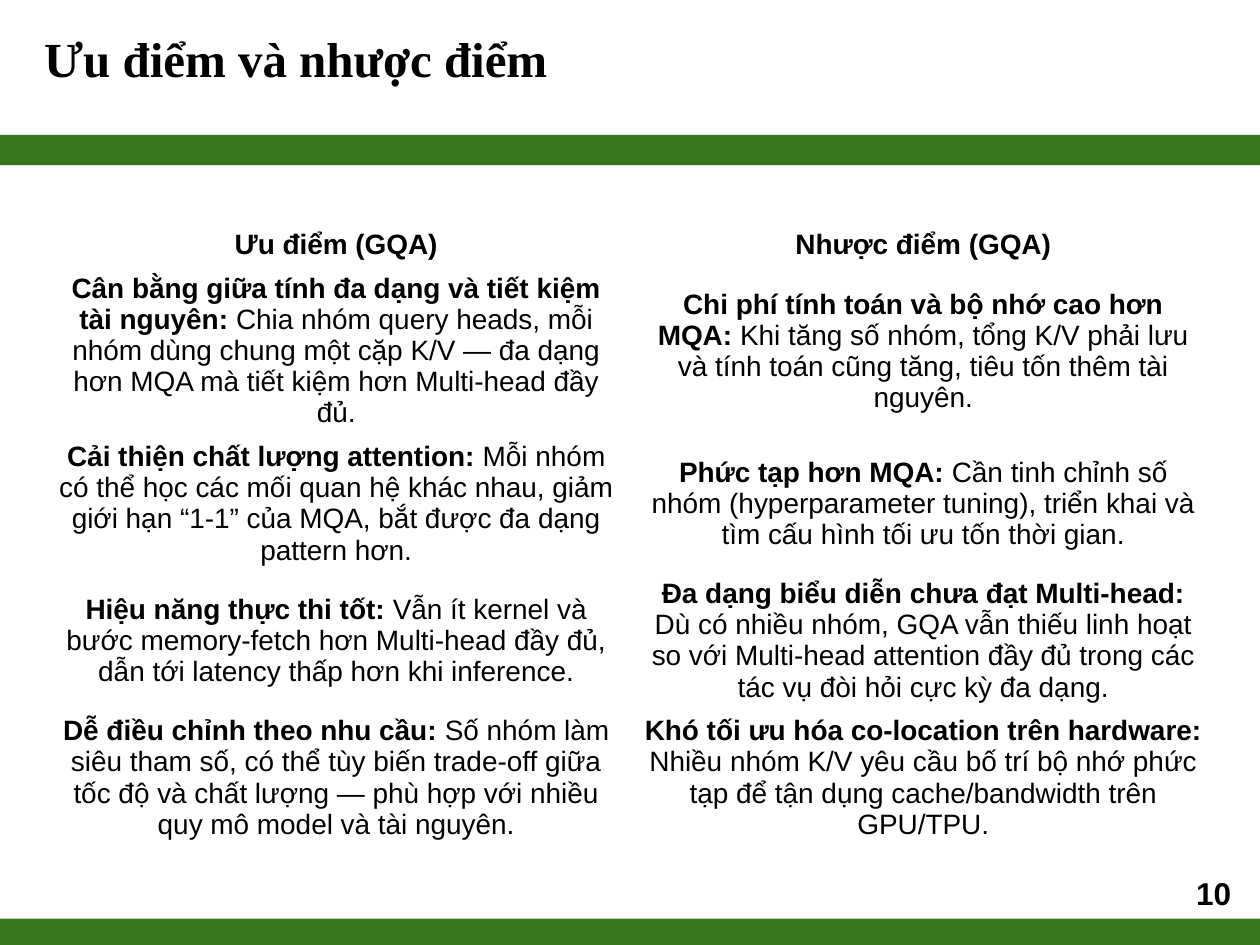
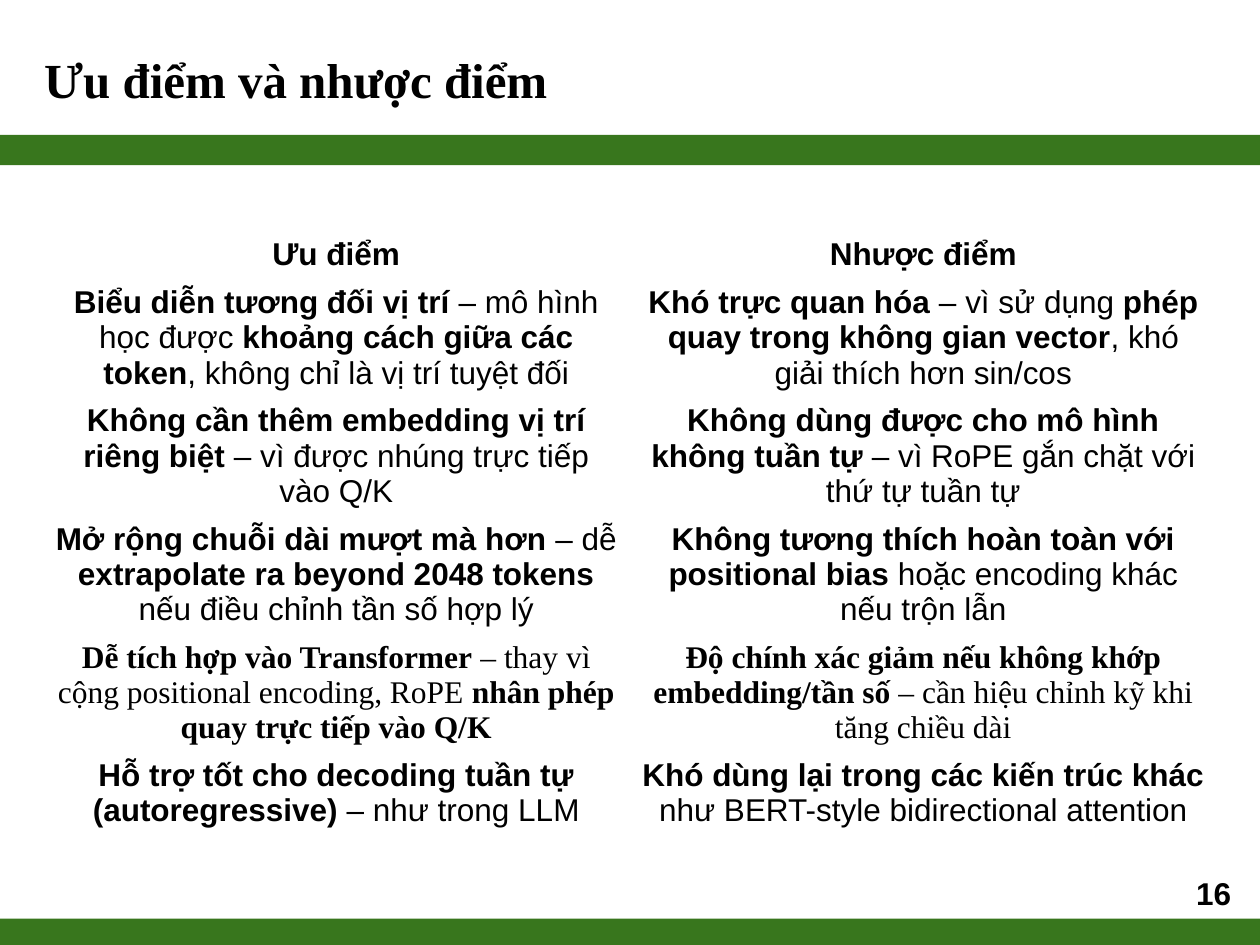
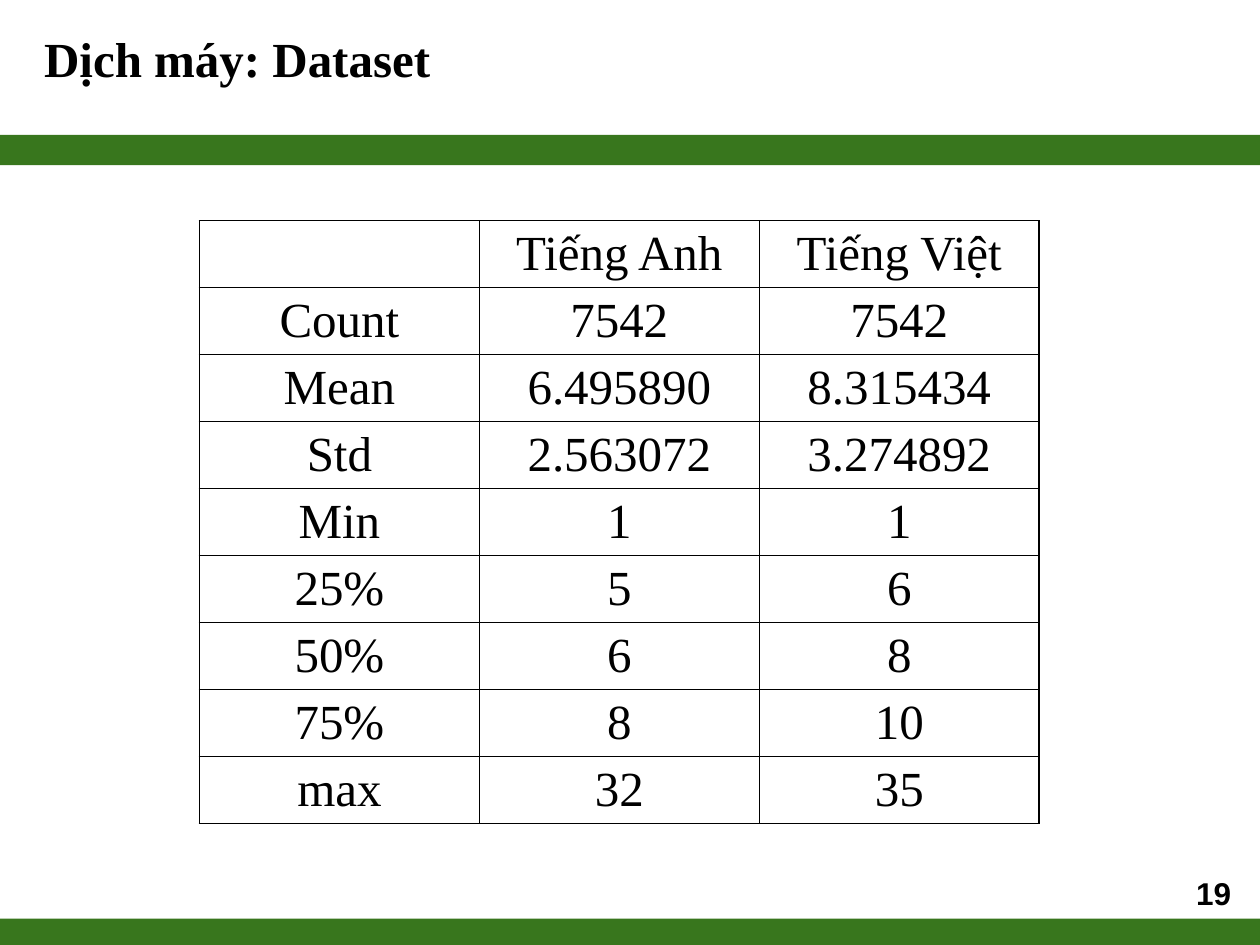
from dataclasses import dataclass

from lxml.etree import SubElement
from pptx import Presentation
from pptx.dml.color import RGBColor
from pptx.enum.shapes import MSO_SHAPE
from pptx.enum.text import MSO_ANCHOR as Anchor
from pptx.enum.text import MSO_AUTO_SIZE as AutoSize
from pptx.enum.text import PP_ALIGN as Align
from pptx.oxml.ns import qn
from pptx.slide import Slide, SlideLayout
from pptx.text.text import TextFrame, _Paragraph as Paragraph
from pptx.util import Cm, Pt


@dataclass(frozen=True)
class Theme:
    green: RGBColor = RGBColor(0x38, 0x76, 0x1D)
    ink: RGBColor = RGBColor(0, 0, 0)
    serif: str = "Times New Roman"
    sans: str = "Arial"
    title_size: int = 28
    number_size: int = 18
    statistic_size: int = 28
    border_width: int = Pt(1)
    inset: int = Cm(0.25)
    plain_table: str = "{2D5ABB26-0587-4C30-8999-92F81FD0307C}"


@dataclass(frozen=True)
class Row:
    cells: tuple[tuple[str, ...], ...]
    font: str = Theme.sans


@dataclass(frozen=True)
class Grid:
    rows: tuple[Row, ...]
    left: float
    top: float
    width: float
    height: float
    row_height: float
    size: int
    lead_bold: bool = True
    bordered: bool = False


@dataclass(frozen=True)
class Page:
    title: str
    number: str
    grid: Grid
    title_top: float = 0.33


THEME = Theme()
BAND_TOPS = (18.52, 2.72)

GQA_ROWS = (
    Row((("Ưu điểm (GQA)",), ("Nhược điểm (GQA)",))),
    Row((
        ("Cân bằng giữa tính đa dạng và tiết kiệm tài nguyên: ",
         "Chia nhóm query heads, mỗi nhóm dùng chung một cặp K/V — đa dạng hơn MQA "
         "mà tiết kiệm hơn Multi-head đầy đủ."),
        ("Chi phí tính toán và bộ nhớ cao hơn MQA: ",
         "Khi tăng số nhóm, tổng K/V phải lưu và tính toán cũng tăng, tiêu tốn thêm "
         "tài nguyên."),
    )),
    Row((
        ("Cải thiện chất lượng attention: ",
         "Mỗi nhóm có thể học các mối quan hệ khác nhau, giảm giới hạn “1-1” của MQA, "
         "bắt được đa dạng pattern hơn."),
        ("Phức tạp hơn MQA: ",
         "Cần tinh chỉnh số nhóm (hyperparameter tuning), triển khai và tìm cấu hình "
         "tối ưu tốn thời gian."),
    )),
    Row((
        ("Hiệu năng thực thi tốt: ",
         "Vẫn ít kernel và bước memory-fetch hơn Multi-head đầy đủ, dẫn tới latency "
         "thấp hơn khi inference."),
        ("Đa dạng biểu diễn chưa đạt Multi-head: ",
         "Dù có nhiều nhóm, GQA vẫn thiếu linh hoạt so với Multi-head attention đầy đủ "
         "trong các tác vụ đòi hỏi cực kỳ đa dạng."),
    )),
    Row((
        ("Dễ điều chỉnh theo nhu cầu: ",
         "Số nhóm làm siêu tham số, có thể tùy biến trade-off giữa tốc độ và chất lượng "
         "— phù hợp với nhiều quy mô model và tài nguyên."),
        ("Khó tối ưu hóa co-location trên hardware: ",
         "Nhiều nhóm K/V yêu cầu bố trí bộ nhớ phức tạp để tận dụng cache/bandwidth "
         "trên GPU/TPU."),
    )),
)

ROPE_ROWS = (
    Row((("Ưu điểm",), ("Nhược điểm",))),
    Row((
        ("Biểu diễn tương đối vị trí", " – mô hình học được ",
         "khoảng cách giữa các token", ", không chỉ là vị trí tuyệt đối"),
        ("Khó trực quan hóa", " – vì sử dụng ",
         "phép quay trong không gian vector", ", khó giải thích hơn sin/cos"),
    )),
    Row((
        ("Không cần thêm embedding vị trí riêng biệt",
         " – vì được nhúng trực tiếp vào Q/K"),
        ("Không dùng được cho mô hình không tuần tự",
         " – vì RoPE gắn chặt với thứ tự tuần tự"),
    )),
    Row((
        ("Mở rộng chuỗi dài mượt mà hơn", " – dễ ",
         "extrapolate ra beyond 2048 tokens", " nếu điều chỉnh tần số hợp lý"),
        ("Không tương thích hoàn toàn với positional bias",
         " hoặc encoding khác nếu trộn lẫn"),
    )),
    Row((
        ("Dễ tích hợp vào Transformer", " – thay vì cộng positional encoding, RoPE ",
         "nhân phép quay trực tiếp vào Q/K"),
        ("Độ chính xác giảm nếu không khớp embedding/tần số",
         " – cần hiệu chỉnh kỹ khi tăng chiều dài"),
    ), font=THEME.serif),
    Row((
        ("Hỗ trợ tốt cho decoding tuần tự (autoregressive)", " – như trong LLM"),
        ("Khó dùng lại trong các kiến trúc khác",
         " như BERT-style bidirectional attention"),
    )),
)

STATISTICS = (
    ("", "Tiếng Anh", "Tiếng Việt"),
    ("Count", "7542", "7542"),
    ("Mean", "6.495890", "8.315434"),
    ("Std", "2.563072", "3.274892"),
    ("Min", "1", "1"),
    ("25%", "5", "6"),
    ("50%", "6", "8"),
    ("75%", "8", "10"),
    ("max", "32", "35"),
)
STATISTIC_ROWS = tuple(
    Row(tuple((entry,) if entry else () for entry in entries), font=THEME.serif)
    for entries in STATISTICS
)

PAGES = (
    Page("Ưu điểm và nhược điểm", "10",
         Grid(GQA_ROWS, 0.86, 4.5, 23.67, 12.78, 0.8, 16)),
    Page("Ưu điểm và nhược điểm", "16",
         Grid(ROPE_ROWS, 0.86, 4.65, 23.67, 12.95, 0.8, 18), title_top=0.74),
    Page("Dịch máy: Dataset", "19",
         Grid(STATISTIC_ROWS, 4.02, 4.45, 16.93, 12.95, 1.35, THEME.statistic_size,
              lead_bold=False, bordered=True)),
)


def add_run(paragraph: Paragraph, text: str, font: str, size: int, bold: bool) -> None:
    run = paragraph.add_run()
    run.text = text
    run.font.name = font
    run.font.size = Pt(size)
    run.font.bold = bold
    run.font.color.rgb = THEME.ink


def set_frame(frame: TextFrame, anchor: Anchor) -> None:
    frame.word_wrap = True
    frame.auto_size = AutoSize.NONE
    frame.vertical_anchor = anchor
    frame.margin_left = frame.margin_right = THEME.inset
    frame.margin_top = frame.margin_bottom = THEME.inset


def move_bands_to_layout(slide: Slide, layout: SlideLayout) -> None:
    for top in BAND_TOPS:
        band = slide.shapes.add_shape(
            MSO_SHAPE.RECTANGLE, Cm(0), Cm(top), Cm(25.4), Cm(0.61))
        band.shadow.inherit = False
        band.fill.solid()
        band.fill.fore_color.rgb = THEME.green
        band.line.fill.background()
        layout.shapes._spTree.insert(2, band._element)


def write_title(slide: Slide, page: Page) -> None:
    title = slide.shapes.title
    title.left, title.top = Cm(0.64), Cm(page.title_top)
    title.width, title.height = Cm(23.67), Cm(2.1)
    set_frame(title.text_frame, Anchor.TOP)
    heading = title.text_frame.paragraphs[0]
    heading.alignment = Align.LEFT
    add_run(heading, page.title, THEME.serif, THEME.title_size, True)


def write_number(slide: Slide, number: str) -> None:
    corner = slide.shapes.add_textbox(Cm(23.55), Cm(17.27), Cm(1.52), Cm(1.45))
    set_frame(corner.text_frame, Anchor.MIDDLE)
    figure = corner.text_frame.paragraphs[0]
    figure.alignment = Align.RIGHT
    add_run(figure, number, THEME.sans, THEME.number_size, True)


def add_borders(cell) -> None:
    properties = cell._tc.get_or_add_tcPr()
    for position, side in enumerate(("lnL", "lnR", "lnT", "lnB")):
        border = SubElement(properties, qn(f"a:{side}"), w=str(THEME.border_width))
        fill = SubElement(border, qn("a:solidFill"))
        SubElement(fill, qn("a:srgbClr"), val=str(THEME.ink))
        properties.insert(position, border)


def draw_grid(slide: Slide, grid: Grid) -> None:
    column_count = len(grid.rows[0].cells)
    holder = slide.shapes.add_table(
        len(grid.rows), column_count,
        Cm(grid.left), Cm(grid.top), Cm(grid.width), Cm(grid.height))
    table = holder.table
    table.first_row = table.horz_banding = False
    table._tbl.tblPr.find(qn("a:tableStyleId")).text = THEME.plain_table
    for row_index, row in enumerate(grid.rows):
        table.rows[row_index].height = Cm(grid.row_height)
        for column_index, passages in enumerate(row.cells):
            cell = table.cell(row_index, column_index)
            cell.vertical_anchor = Anchor.MIDDLE
            cell.fill.background()
            paragraph = cell.text_frame.paragraphs[0]
            paragraph.alignment = Align.CENTER
            for order, passage in enumerate(passages):
                bold = grid.lead_bold and order % 2 == 0
                add_run(paragraph, passage, row.font, grid.size, bold)
            if grid.bordered:
                add_borders(cell)
    holder.height = Cm(grid.height)


def main() -> None:
    deck = Presentation()
    deck.slide_width, deck.slide_height = Cm(25.4), Cm(19.05)
    layout = deck.slide_layouts[5]
    for page in PAGES:
        slide = deck.slides.add_slide(layout)
        if page is PAGES[0]:
            move_bands_to_layout(slide, layout)
        write_title(slide, page)
        write_number(slide, page.number)
        draw_grid(slide, page.grid)
    deck.save("out.pptx")


if __name__ == "__main__":
    main()
